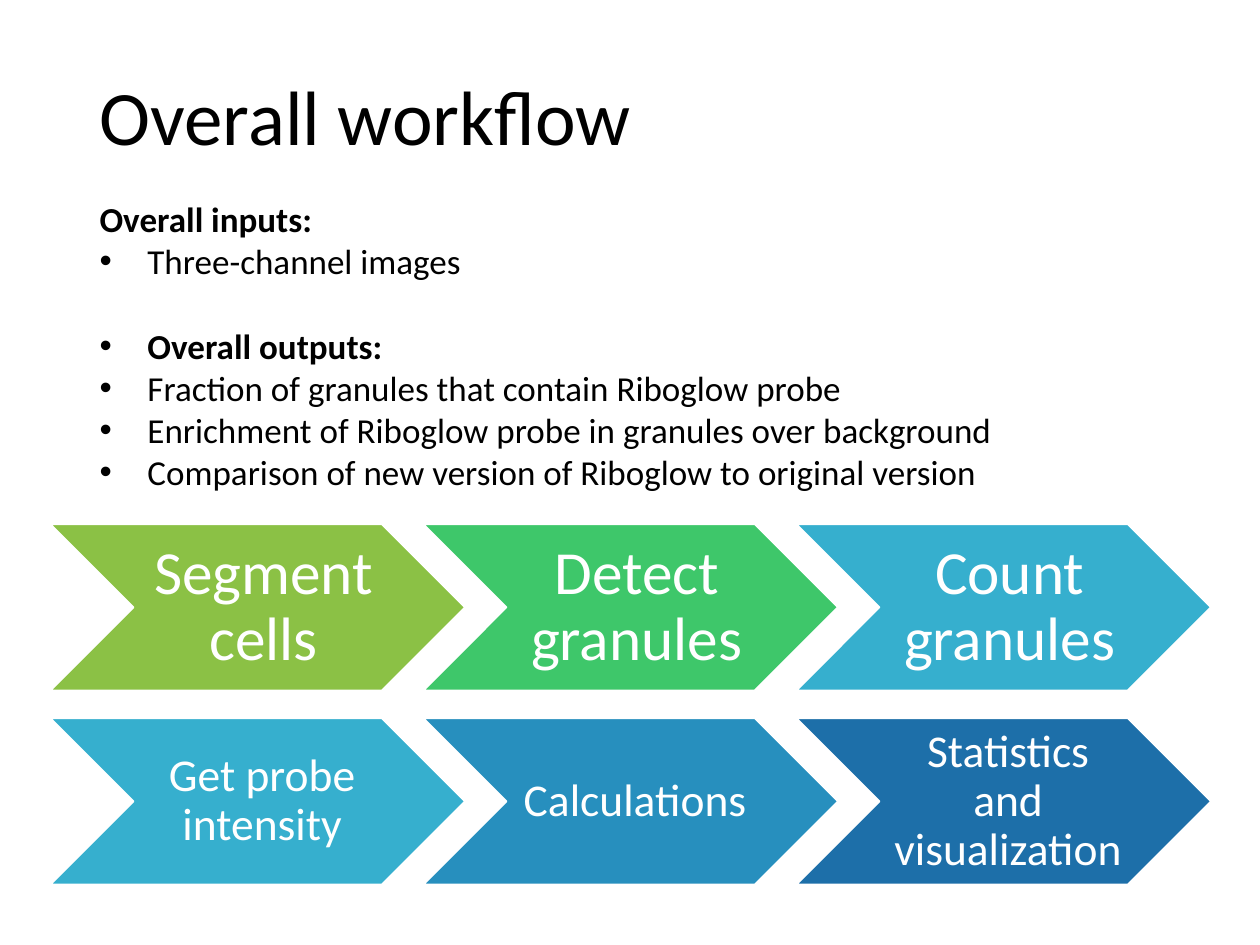
from lxml.etree import SubElement
from pptx import Presentation
from pptx.dml.color import RGBColor
from pptx.enum.shapes import MSO_SHAPE
from pptx.enum.text import MSO_ANCHOR, MSO_AUTO_SIZE, PP_ALIGN
from pptx.oxml.ns import qn
from pptx.util import Inches, Pt

INPUTS = ["Three-channel images"]
OUTPUTS = [
    "Fraction of granules that contain Riboglow probe",
    "Enrichment of Riboglow probe in granules over background",
    "Comparison of new version of Riboglow to original version",
]
LIST_ITEMS = [
    ("Overall inputs:", True, False, 0),
    *[(text, False, True, 0) for text in INPUTS],
    ("Overall outputs:", True, True, 24.4),
    *[(text, False, True, 0) for text in OUTPUTS],
]
WORKFLOW_ROWS = [
    (41.6, 35, [("Segment cells", "8BC145"), ("Detect granules", "3EC76A"),
                ("Count granules", "36AFCE")]),
    (57, 26, [("Get probe intensity", "36AFCE"), ("Calculations", "278FBE"),
              ("Statistics and visualization", "1D6FA9")]),
]
FIRST_COLUMN, COLUMN_STEP = 4, 29.6
CHEVRON_WIDTH, CHEVRON_HEIGHT = 32.9, 13.2


def color(hex_value):
    return RGBColor.from_string(hex_value)


class SlideBuilder:
    columns, rows = 100, 75
    font_name = "Calibri"
    dark, light = "000000", "FFFFFF"

    def __init__(self, presentation):
        self.width = presentation.slide_width
        self.height = presentation.slide_height
        self.slide = presentation.slides.add_slide(presentation.slide_layouts[1])

    def box(self, left, top, width, height):
        column, row = self.width / self.columns, self.height / self.rows
        return (round(left * column), round(top * row),
                round(width * column), round(height * row))

    def place(self, shape, *cells):
        shape.left, shape.top, shape.width, shape.height = self.box(*cells)

    def add_text(self, paragraph, text, size, hex_value, bold=False):
        run = paragraph.add_run()
        run.text = text
        run.font.name = self.font_name
        run.font.size = Pt(size)
        run.font.bold = bold
        run.font.color.rgb = color(hex_value)

    def title(self, text, *cells):
        shape = self.slide.shapes.title
        self.place(shape, *cells)
        shape.text_frame.vertical_anchor = MSO_ANCHOR.MIDDLE
        paragraph = shape.text_frame.paragraphs[0]
        paragraph.alignment = PP_ALIGN.LEFT
        paragraph.line_spacing = 0.9
        self.add_text(paragraph, text, 44, self.dark)

    def bullet(self, paragraph, bulleted):
        properties = paragraph._p.get_or_add_pPr()
        indent = Inches(0.38) if bulleted else 0
        properties.set("marL", str(indent))
        properties.set("indent", str(-indent))
        if bulleted:
            SubElement(properties, qn("a:buFont"), typeface="Arial")
            SubElement(properties, qn("a:buChar"), char="•")
        else:
            SubElement(properties, qn("a:buNone"))

    def body(self, items, *cells):
        shape = self.slide.placeholders[1]
        self.place(shape, *cells)
        frame = shape.text_frame
        frame.auto_size = MSO_AUTO_SIZE.NONE
        frame.vertical_anchor = MSO_ANCHOR.TOP
        for index, (text, bold, bulleted, space) in enumerate(items):
            paragraph = frame.add_paragraph() if index else frame.paragraphs[0]
            self.bullet(paragraph, bulleted)
            paragraph.space_before = Pt(space)
            self.add_text(paragraph, text, 20, self.dark, bold)

    def chevron(self, text, size, fill, *cells):
        shape = self.slide.shapes.add_shape(MSO_SHAPE.CHEVRON, *self.box(*cells))
        shape.shadow.inherit = False
        shape.fill.solid()
        shape.fill.fore_color.rgb = color(fill)
        shape.line.color.rgb = color(self.light)
        shape.line.width = Pt(1)
        frame = shape.text_frame
        frame.word_wrap = True
        frame.vertical_anchor = MSO_ANCHOR.MIDDLE
        frame.margin_left = Pt(size * 0.3)
        frame.margin_right = frame.margin_top = frame.margin_bottom = Pt(size * 0.1)
        paragraph = frame.paragraphs[0]
        paragraph.alignment = PP_ALIGN.CENTER
        paragraph.line_spacing = 0.9
        self.add_text(paragraph, text, size, self.light)


def main():
    presentation = Presentation()
    presentation.slide_width, presentation.slide_height = Inches(10), Inches(7.5)
    builder = SlideBuilder(presentation)
    builder.title("Overall workflow", 6.9, 2.3, 86.2, 14.5)
    builder.body(LIST_ITEMS, 6.9, 15.2, 83.1, 24.6)
    for top, size, steps in WORKFLOW_ROWS:
        for index, (text, fill) in enumerate(steps):
            left = FIRST_COLUMN + index * COLUMN_STEP
            builder.chevron(text, size, fill, left, top, CHEVRON_WIDTH, CHEVRON_HEIGHT)
    presentation.save("out.pptx")


if __name__ == "__main__":
    main()
